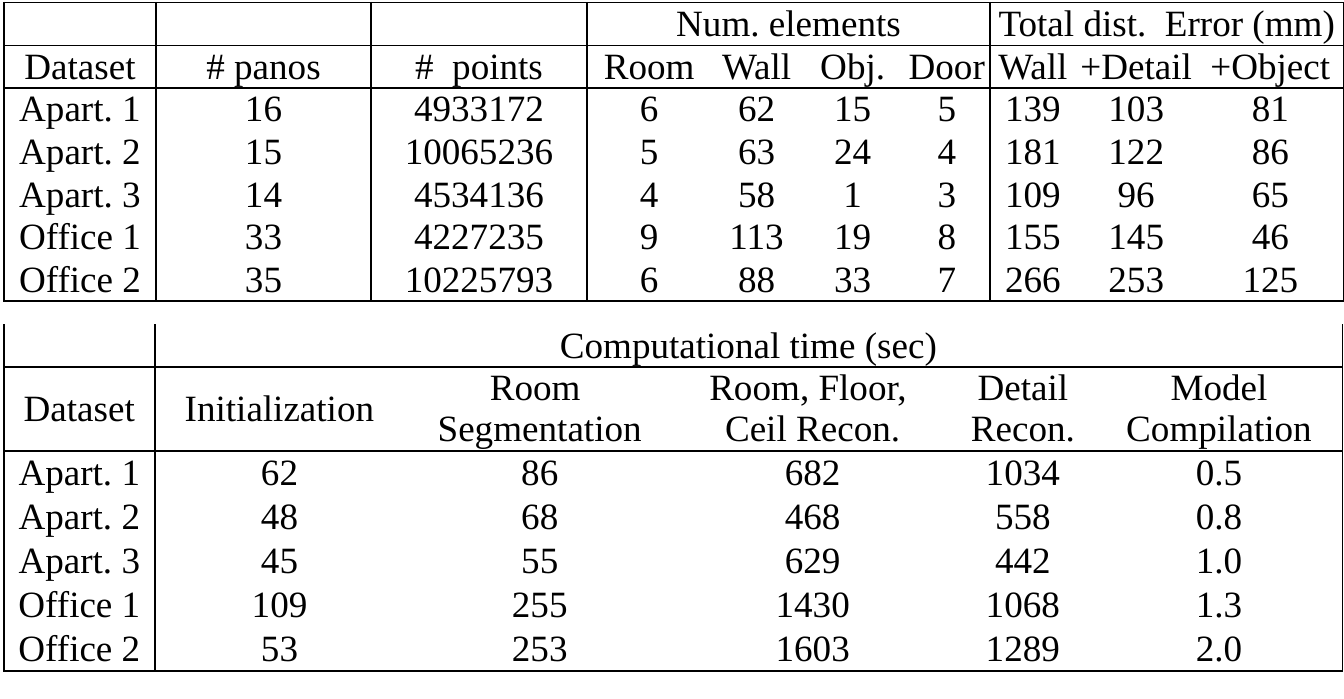
from lxml.etree import SubElement
from pptx import Presentation
from pptx.dml.color import RGBColor
from pptx.enum.text import MSO_ANCHOR, PP_ALIGN
from pptx.oxml.ns import qn
from pptx.util import Inches, Pt


def color(code):
    return RGBColor.from_string(code)


class GridSlide:
    """Draws ruled tables on one slide, with lengths in hundredths of an inch."""

    font_name = "Times New Roman"
    font_size = 20
    ink = "000000"
    rule_width = 1

    def __init__(self, presentation):
        self.slide = presentation.slides.add_slide(presentation.slide_layouts[6])

    @staticmethod
    def grid(units):
        return Inches(units / 100)

    def rule(self, cell, side, visible):
        line = SubElement(cell._tc.get_or_add_tcPr(), qn(f"a:ln{side}"),
                          w=str(Pt(self.rule_width)))
        if visible:
            fill = SubElement(line, qn("a:solidFill"))
            SubElement(fill, qn("a:srgbClr"), val=self.ink)
        else:
            SubElement(line, qn("a:noFill"))

    def label(self, cell, text):
        cell.text = text
        cell.vertical_anchor = MSO_ANCHOR.MIDDLE
        cell.margin_left = cell.margin_right = self.grid(1)
        cell.margin_top = cell.margin_bottom = 0
        for paragraph in cell.text_frame.paragraphs:
            paragraph.alignment = PP_ALIGN.CENTER
            paragraph.font.name = self.font_name
            paragraph.font.size = Pt(self.font_size)
            paragraph.font.color.rgb = color(self.ink)

    def table(self, left, top, widths, heights, rows, spans, across, down):
        frame = self.slide.shapes.add_table(
            len(heights), len(widths), self.grid(left), self.grid(top),
            self.grid(sum(widths)), self.grid(sum(heights)))
        table = frame.table
        table.first_row = table.horz_banding = False
        for column, width in zip(table.columns, widths):
            column.width = self.grid(width)
        for row, height in zip(table.rows, heights):
            row.height = self.grid(height)
        for first, last in spans:
            table.cell(0, first).merge(table.cell(0, last))
        for row_index, texts in enumerate(rows):
            for column_index, text in enumerate(texts):
                cell = table.cell(row_index, column_index)
                self.label(cell, text)
                self.rule(cell, "L", column_index in down)
                self.rule(cell, "R", column_index + cell.span_width in down)
                self.rule(cell, "T", row_index in across)
                self.rule(cell, "B", row_index + 1 in across)
                cell.fill.background()


TIME_ROWS = [
    ["", "Computational time (sec)", "", "", "", ""],
    ["Dataset", "Initialization", "Room \nSegmentation",
     "Room, Floor, \nCeil Recon.", "Detail\nRecon.", "Model\nCompilation"],
    ["Apart. 1", "62", "86", "682", "1034", "0.5"],
    ["Apart. 2", "48", "68", "468", "558", "0.8"],
    ["Apart. 3", "45", "55", "629", "442", "1.0"],
    ["Office 1", "109", "255", "1430", "1068", "1.3"],
    ["Office 2", "53", "253", "1603", "1289", "2.0"],
]

ERROR_ROWS = [
    ["", "", "", "Num. elements", "", "", "", "Total dist.  Error (mm)", "", ""],
    ["Dataset", "# panos", "#  points", "Room", "Wall", "Obj.", "Door",
     "Wall", "+Detail", "+Object"],
    ["Apart. 1", "16", "4933172", "6", "62", "15", "5", "139", "103", "81"],
    ["Apart. 2", "15", "10065236", "5", "63", "24", "4", "181", "122", "86"],
    ["Apart. 3", "14", "4534136", "4", "58", "1", "3", "109", "96", "65"],
    ["Office 1", "33", "4227235", "9", "113", "19", "8", "155", "145", "46"],
    ["Office 2", "35", "10225793", "6", "88", "33", "7", "266", "253", "125"],
]


def main():
    presentation = Presentation()
    presentation.slide_width = Inches(10.07)
    presentation.slide_height = Inches(5.24)
    results = GridSlide(presentation)
    results.table(3, 243, [113, 187, 203, 206, 109, 185], [32, 63] + [33] * 5,
                  TIME_ROWS, spans=[(1, 5)], across={1, 2, 7}, down={0, 1, 6})
    results.table(3, 2, [114, 161, 162, 93, 68, 76, 65, 64, 91, 110], [32] * 7,
                  ERROR_ROWS, spans=[(3, 6), (7, 9)], across={0, 1, 2, 7},
                  down={0, 1, 2, 3, 7, 10})
    presentation.save("out.pptx")


if __name__ == "__main__":
    main()
